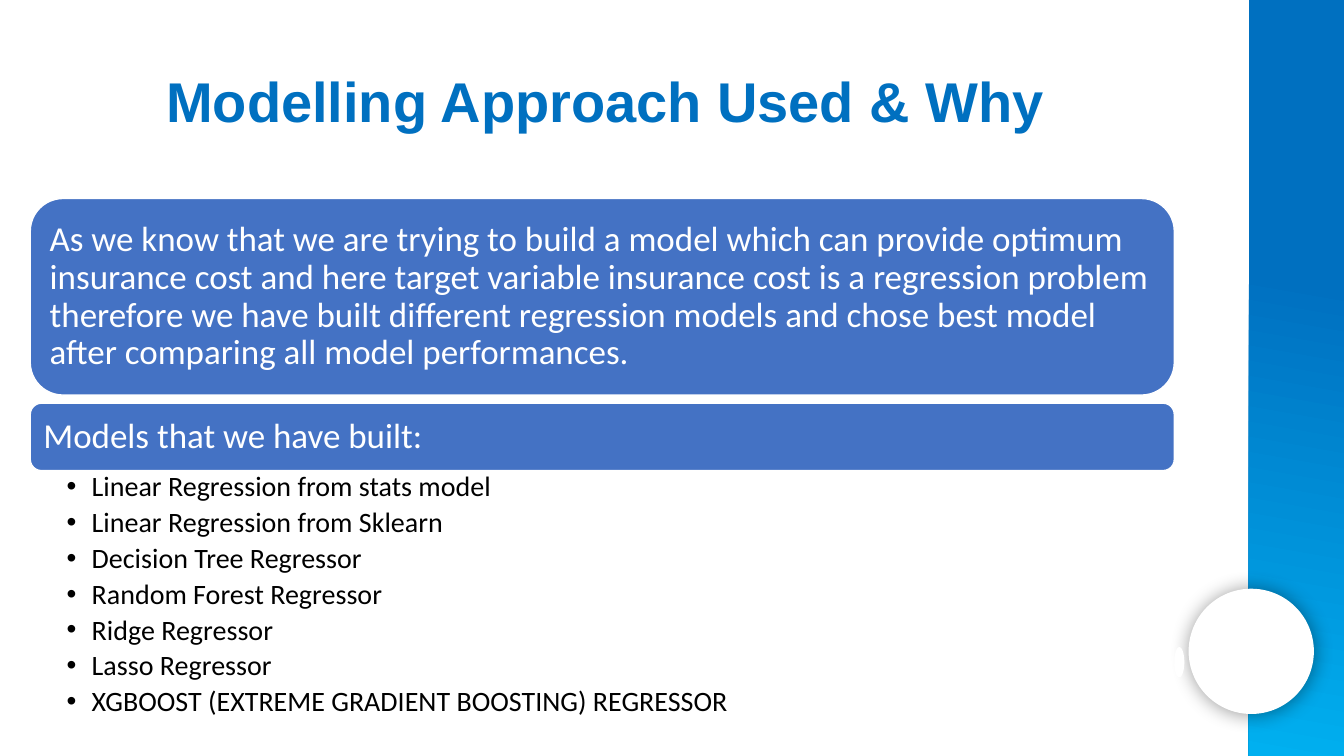
"""Build the slide on the modelling approach and the models built."""
from dataclasses import dataclass
from typing import Any

from lxml import etree
from pptx import Presentation
from pptx.dml.color import RGBColor
from pptx.enum.shapes import MSO_SHAPE
from pptx.enum.text import MSO_ANCHOR, MSO_AUTO_SIZE, PP_ALIGN
from pptx.oxml.ns import qn
from pptx.util import Pt

RECT, ROUND, OVAL = MSO_SHAPE.RECTANGLE, MSO_SHAPE.ROUNDED_RECTANGLE, MSO_SHAPE.OVAL
LEFT, TOP, MIDDLE = PP_ALIGN.LEFT, MSO_ANCHOR.TOP, MSO_ANCHOR.MIDDLE
FIT = MSO_AUTO_SIZE.SHAPE_TO_FIT_TEXT
WHITE = RGBColor(0xFF, 0xFF, 0xFF)
BLACK = RGBColor(0x00, 0x00, 0x00)
BLUE = RGBColor(0x44, 0x72, 0xC4)
DEEP = RGBColor(0x00, 0x70, 0xC0)
SKY = RGBColor(0x00, 0xB0, 0xF0)
EDGE, WIDE = 21.6, 817.2

TITLE = "Modelling Approach Used & Why"
MODELS = [
    "Linear Regression from stats model",
    "Linear Regression from Sklearn",
    "Decision Tree Regressor",
    "Random Forest Regressor",
    "Ridge Regressor",
    "Lasso Regressor",
    "XGBOOST (EXTREME GRADIENT BOOSTING) REGRESSOR",
]


@dataclass
class Box:
    left: float
    top: float
    width: float
    height: float

    def place(self) -> tuple:
        return Pt(self.left), Pt(self.top), Pt(self.width), Pt(self.height)


@dataclass
class Panel:
    box: Box
    text: str


PANELS = [
    Panel(
        Box(EDGE, 141.8, WIDE, 140.4),
        "As we know that we are trying to build a model which can provide optimum "
        "insurance cost and here target variable insurance cost is a regression problem "
        "therefore we have built different regression models and chose best model "
        "after comparing all model performances.",
    ),
    Panel(Box(EDGE, 288, WIDE, 48.2), "Models that we have built:"),
]
BAND = Box(892.1, 0, 67.9, 540)
DISC = Box(849, 420.5, 89.5, 89.5)
DOTS = [Box(838.8, 462.2, 7.2, 21.6), Box(823.7, 507.6, 15.1, 18)]
LIST = Box(EDGE, 335.5, WIDE, 187.2)
HEAD = Box(111.6, 43.9, 717.8, 55.4)


def style(item: Any, form: dict) -> None:
    for name, value in form.items():
        setattr(item, name, value)


def paint(para: Any, text: str, face: str, size: float, tint: RGBColor, bold: bool = False) -> None:
    run = para.add_run()
    run.text = text
    style(run.font, {"name": face, "size": Pt(size), "bold": bold})
    run.font.color.rgb = tint


def shape(slide: Any, kind: Any, box: Box, tint: RGBColor) -> Any:
    item = slide.shapes.add_shape(kind, *box.place())
    item.shadow.inherit = False
    item.fill.solid()
    item.fill.fore_color.rgb = tint
    item.line.fill.background()
    return item


def band(slide: Any) -> None:
    fill = shape(slide, RECT, BAND, DEEP).fill
    fill.gradient()
    fill.gradient_angle = 260
    for stop, spot, tint in zip(fill.gradient_stops, (0.37, 1), (DEEP, SKY)):
        stop.position = spot
        stop.color.rgb = tint


def disc(slide: Any) -> None:
    item = shape(slide, OVAL, DISC, WHITE)
    glow = item.element.spPr.find(qn("a:effectLst"))
    cast = etree.SubElement(
        glow, qn("a:outerShdw"), blurRad=str(Pt(14)), dist=str(Pt(1)),
        dir=str(43 * 60000), algn="ctr", rotWithShape="0",
    )
    tint = etree.SubElement(cast, qn("a:srgbClr"), val=str(BLACK))
    etree.SubElement(tint, qn("a:alpha"), val="40000")


def panel(slide: Any, part: Panel) -> None:
    item = shape(slide, ROUND, part.box, BLUE)
    item.line.color.rgb = WHITE
    item.line.width = Pt(1)
    frame = item.text_frame
    sides = ("margin_left", "margin_right", "margin_top", "margin_bottom")
    style(frame, {"word_wrap": True, "vertical_anchor": MIDDLE, **dict.fromkeys(sides, Pt(7.2))})
    para = frame.paragraphs[0]
    style(para, {"alignment": LEFT, "line_spacing": 0.9})
    paint(para, part.text, "Calibri", 25, WHITE)


def models(slide: Any) -> None:
    frame = slide.shapes.add_textbox(*LIST.place()).text_frame
    style(frame, {
        "word_wrap": True, "vertical_anchor": TOP, "margin_left": Pt(25.9),
        "margin_right": Pt(11.5), "margin_top": Pt(2), "margin_bottom": Pt(2),
    })
    for rank, name in enumerate(MODELS):
        para = frame.add_paragraph() if rank else frame.paragraphs[0]
        style(para, {"level": 1, "alignment": LEFT, "line_spacing": 0.9, "space_after": Pt(4)})
        props = para._p.get_or_add_pPr()
        props.set("marL", str(Pt(18)))
        props.set("indent", str(Pt(-18)))
        etree.SubElement(props, qn("a:buFont"), typeface="Arial")
        etree.SubElement(props, qn("a:buChar"), char="•")
        paint(para, name, "Calibri", 20, BLACK)


def title(slide: Any) -> None:
    item = slide.shapes.title
    style(item, dict(zip(("left", "top", "width", "height"), HEAD.place())))
    frame = item.text_frame
    style(frame, {"word_wrap": True, "auto_size": FIT, "vertical_anchor": TOP})
    para = frame.paragraphs[0]
    para.alignment = LEFT
    paint(para, TITLE, "Arial", 40, DEEP, True)


def main() -> None:
    deck = Presentation()
    style(deck, {"slide_width": Pt(960), "slide_height": Pt(540)})
    slide = deck.slides.add_slide(deck.slide_layouts[5])
    band(slide)
    disc(slide)
    title(slide)
    for part in PANELS:
        panel(slide, part)
    models(slide)
    for dot in DOTS:
        shape(slide, OVAL, dot, WHITE)
    deck.save("out.pptx")


if __name__ == "__main__":
    main()
